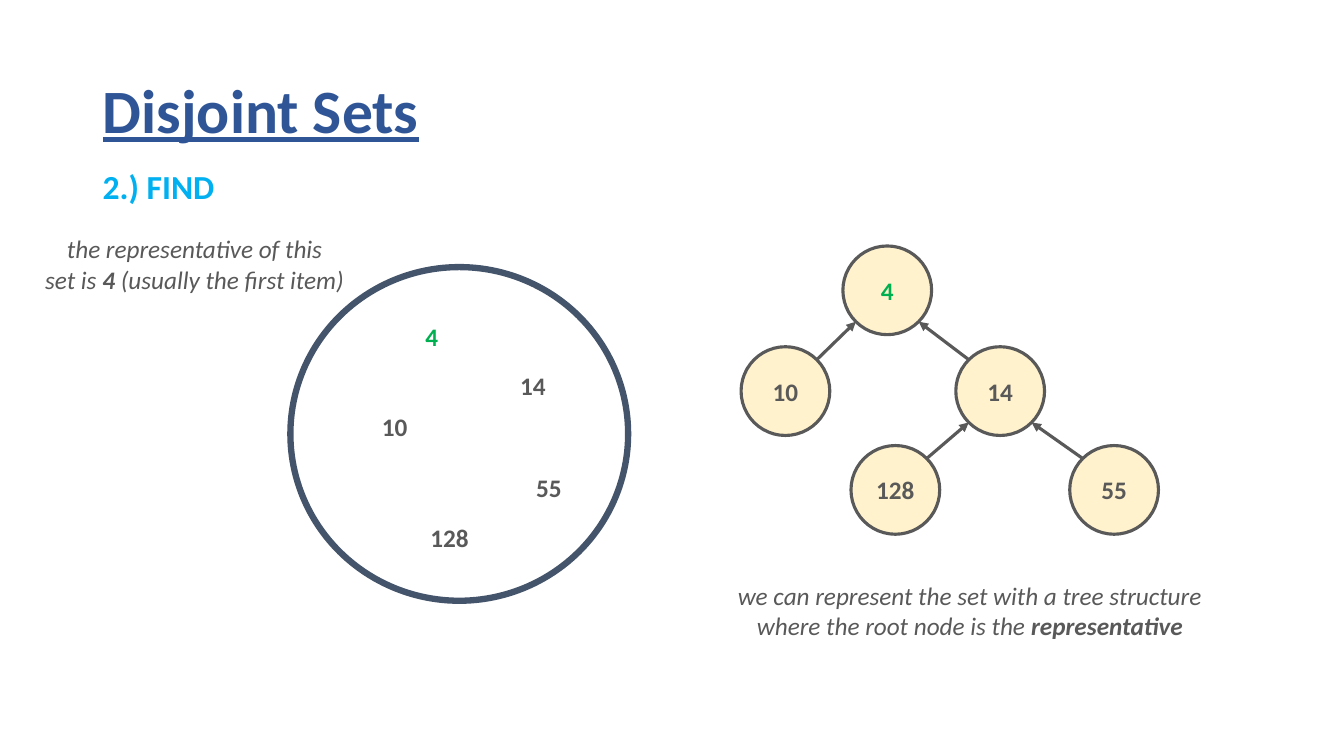
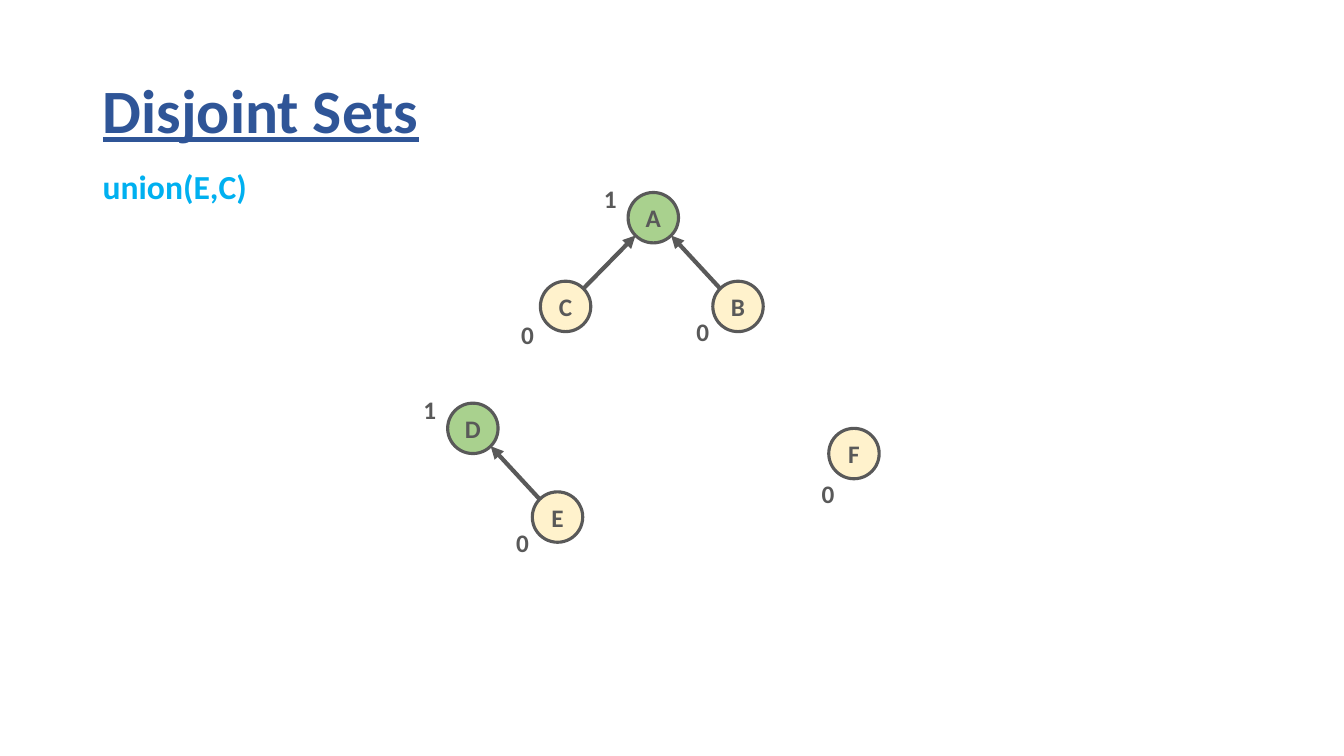
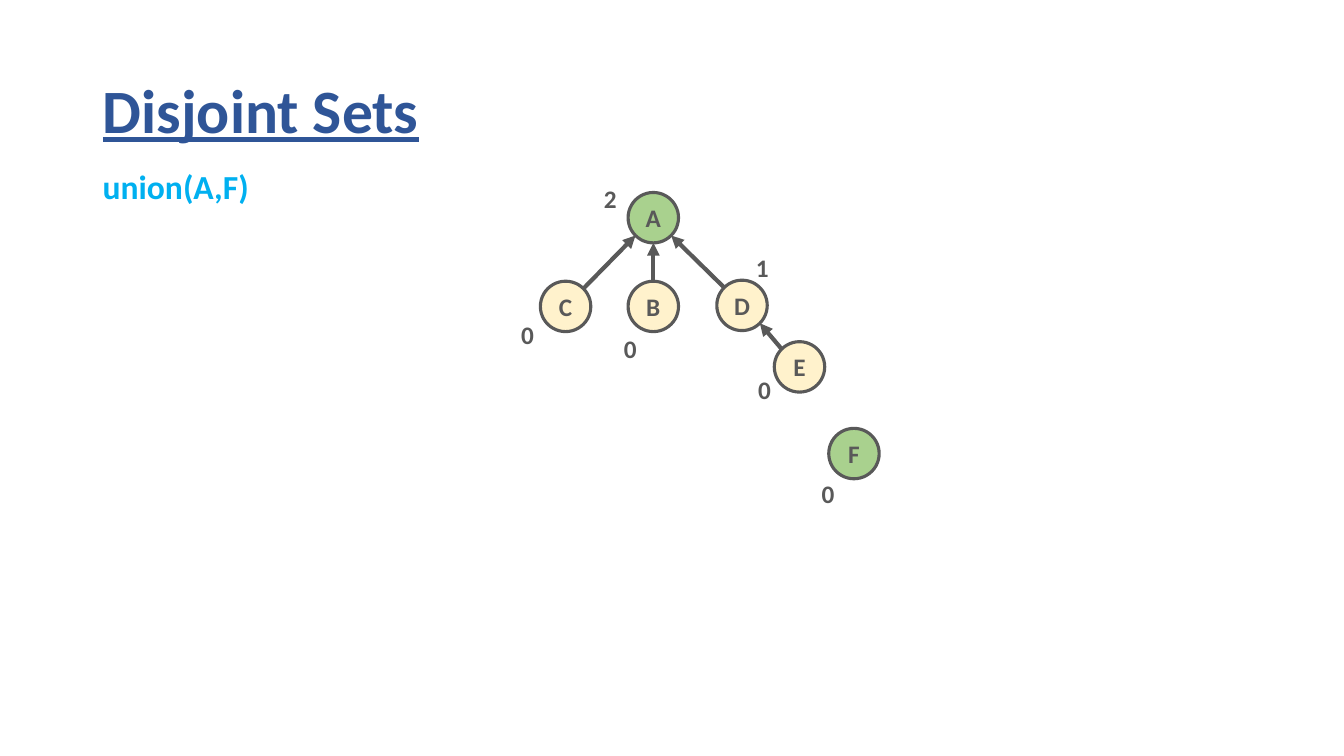
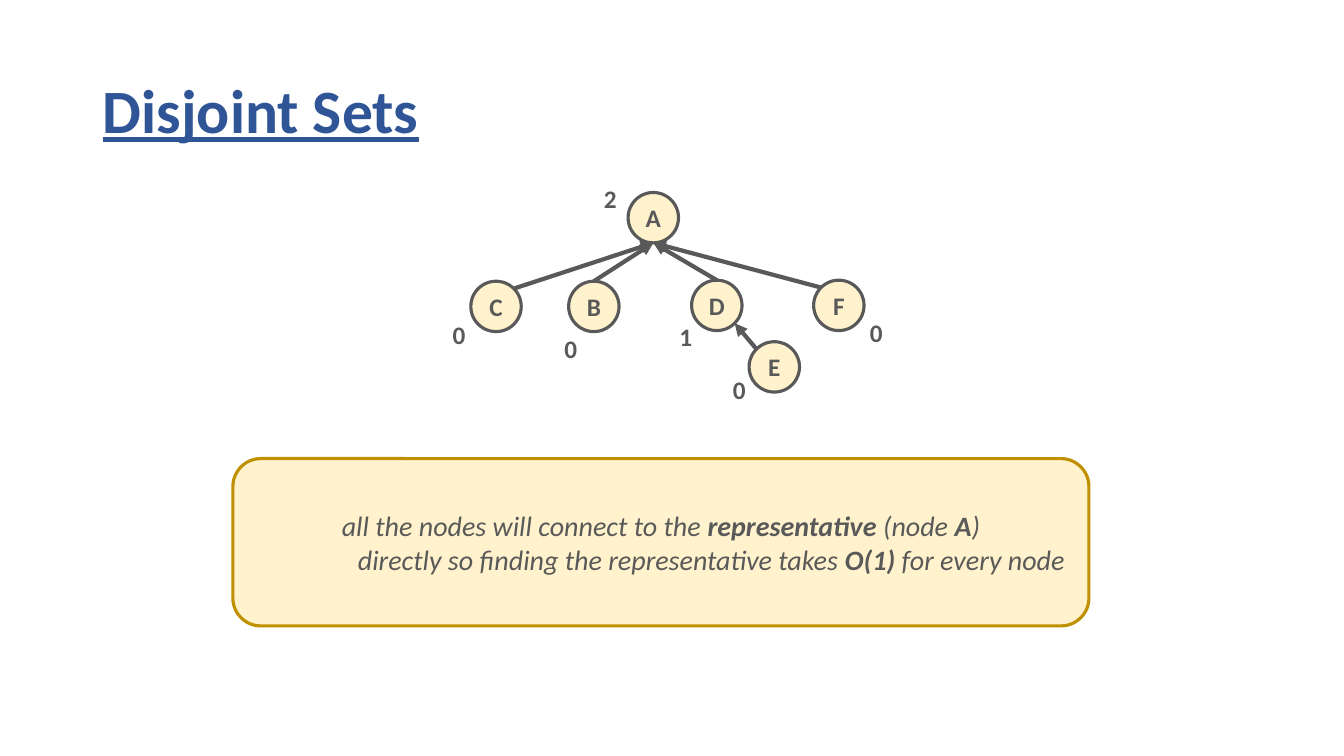
import pptx
import pptx.dml.color
import pptx.enum.shapes
import pptx.enum.text
import pptx.oxml.ns
import pptx.util
from lxml import etree
from pptx.util import Inches

# Shared style
FONT = "Calibri"
BLUE = "2F5597"
SKY = "00B0F0"
GRAY = "595959"
GREEN = "00B050"
SLATE = "44546A"
CREAM = "FFF2CC"
LEAF = "A9D18E"
GOLD = "BF9000"

LEFT = pptx.enum.text.PP_ALIGN.LEFT
CENTER = pptx.enum.text.PP_ALIGN.CENTER
MIDDLE = pptx.enum.text.MSO_ANCHOR.MIDDLE
OVAL = pptx.enum.shapes.MSO_SHAPE.OVAL
ROUNDED = pptx.enum.shapes.MSO_SHAPE.ROUNDED_RECTANGLE

# Points on a circle, as fractions of its bounding box
NEAR, FAR = 0.146, 0.854
TOP, BOTTOM = (0.5, 0), (0.5, 1)
TOP_LEFT, TOP_RIGHT = (NEAR, NEAR), (FAR, NEAR)
BOTTOM_LEFT, BOTTOM_RIGHT = (NEAR, FAR), (FAR, FAR)


def rgb(value):
    return pptx.dml.color.RGBColor.from_string(value)


# Text
def style_paragraph(paragraph, size, color, bold=None, italic=None, align=LEFT):
    paragraph.alignment = align
    font = paragraph.font
    font.name, font.size = FONT, pptx.util.Pt(size)
    font.color.rgb = rgb(color)
    font.bold, font.italic = bold, italic


def write_label(frame, text, size, color, align=LEFT):
    paragraph = frame.paragraphs[0]
    paragraph.text = text
    style_paragraph(paragraph, size, color, bold=True, align=align)


def write_note(frame, lines, size, indents=(0, 0)):
    """Write centred italic lines, each a list of (text, bold) runs."""
    for index, (runs, indent) in enumerate(zip(lines, indents)):
        paragraph = frame.paragraphs[0] if index == 0 else frame.add_paragraph()
        if indent:
            paragraph._p.get_or_add_pPr().set("marL", str(Inches(indent)))
        style_paragraph(paragraph, size, GRAY, italic=True, align=CENTER)
        for text, bold in runs:
            run = paragraph.add_run()
            run.text = text
            run.font.bold = bold


def add_text_frame(slide, left, top, width, height):
    box = slide.shapes.add_textbox(Inches(left), Inches(top), Inches(width), Inches(height))
    frame = box.text_frame
    frame.word_wrap = False
    frame.auto_size = pptx.enum.text.MSO_AUTO_SIZE.SHAPE_TO_FIT_TEXT
    return frame


def add_value(slide, text, left, top, color=GRAY):
    width = 0.21 + 0.13 * len(text)
    write_label(add_text_frame(slide, left, top, width, 0.4), text, 18, color)


def add_subtitle(slide, text, width):
    write_label(add_text_frame(slide, 0.92, 1.6, width, 0.5), text, 24, SKY)


# Shapes and arrows
def add_outlined(slide, kind, left, top, width, height, line, weight, fill=None):
    shape = slide.shapes.add_shape(
        kind, Inches(left), Inches(top), Inches(width), Inches(height))
    shape.shadow.inherit = False
    if fill:
        shape.fill.solid()
        shape.fill.fore_color.rgb = rgb(fill)
    else:
        shape.fill.background()
    shape.line.color.rgb = rgb(line)
    shape.line.width = pptx.util.Pt(weight)
    shape.text_frame.vertical_anchor = MIDDLE
    return shape


def add_node(slide, label, left, top, size, fill, color):
    node = add_outlined(slide, OVAL, left, top, size, size, GRAY, 2.25, fill)
    node.text_frame.word_wrap = False
    write_label(node.text_frame, label, 18, color, CENTER)
    return node


def point_on(node, site):
    return (int(node.left + site[0] * node.width),
            int(node.top + site[1] * node.height))


def add_arrow(slide, child, child_site, parent, parent_site, weight):
    arrow = slide.shapes.add_connector(
        pptx.enum.shapes.MSO_CONNECTOR.STRAIGHT,
        *point_on(child, child_site), *point_on(parent, parent_site))
    arrow.line.color.rgb = rgb(GRAY)
    arrow.line.width = pptx.util.Pt(weight)
    qualified = pptx.oxml.ns.qn
    etree.SubElement(arrow.line._get_or_add_ln(), qualified("a:tailEnd"), type="triangle")
    etree.SubElement(arrow._element.spPr, qualified("a:effectLst"))


def add_tree(slide, nodes, edges, size=0.5, weight=3, fills=None, colors=None):
    """Draw nodes {label: (left, top)} and edges (child, site, parent, site)."""
    fills, colors = fills or {}, colors or {}
    circles = {
        label: add_node(slide, label, left, top, size,
                        fills.get(label, CREAM), colors.get(label, GRAY))
        for label, (left, top) in nodes.items()}
    for child, child_site, parent, parent_site in edges:
        add_arrow(slide, circles[child], child_site, circles[parent], parent_site, weight)


def add_ranks(slide, ranks):
    for rank, left, top in ranks:
        add_value(slide, rank, left, top)


# Slides
def add_titled_slide(presentation):
    slide = presentation.slides.add_slide(presentation.slide_layouts[5])
    title = slide.shapes.title
    title.left, title.top = Inches(0.92), Inches(0.4)
    title.width, title.height = Inches(11.5), Inches(1.45)
    title.text_frame.vertical_anchor = MIDDLE
    write_label(title.text_frame, "Disjoint Sets", 44, BLUE)
    paragraph = title.text_frame.paragraphs[0]
    paragraph.line_spacing = 0.9
    paragraph.font.underline = True
    return slide


def build_find(presentation):
    slide = add_titled_slide(presentation)
    add_subtitle(slide, "2.) FIND", 1.32)

    # The set and its members
    add_outlined(slide, OVAL, 2.88, 2.65, 3.35, 3.31, SLATE, 4.5)
    add_value(slide, "4", 4.12, 3.14, GREEN)
    add_ranks(slide, [("10", 3.69, 4.03), ("14", 5.06, 3.62),
                      ("55", 5.22, 4.64), ("128", 4.17, 5.13)])
    write_note(add_text_frame(slide, 0.32, 2.27, 3.22, 0.71), [
        [("the representative of this", False)],
        [("set is ", False), ("4", True), (" (usually the first item)", False)],
    ], 18)

    # The same set as a tree
    add_tree(
        slide,
        {"4": (8.36, 2.44), "10": (7.35, 3.44), "14": (9.48, 3.44),
         "128": (8.44, 4.42), "55": (10.61, 4.42)},
        [("10", TOP_RIGHT, "4", BOTTOM_LEFT),
         ("14", TOP_LEFT, "4", BOTTOM_RIGHT),
         ("128", TOP_RIGHT, "14", BOTTOM_LEFT),
         ("55", TOP_LEFT, "14", BOTTOM_RIGHT)],
        size=0.88, weight=2.25, colors={"4": GREEN})
    write_note(add_text_frame(slide, 7.19, 5.71, 4.86, 0.71), [
        [("we can represent the set with a tree structure", False)],
        [("where the root node is the ", False), ("representative", True)],
    ], 18)


def build_first_union(presentation):
    slide = add_titled_slide(presentation)
    add_subtitle(slide, "union(E,C)", 1.65)
    add_tree(
        slide,
        {"A": (6.23, 1.91), "C": (5.36, 2.79), "B": (7.07, 2.79),
         "D": (4.44, 4), "E": (5.28, 4.88), "F": (8.22, 4.25)},
        [("C", TOP_RIGHT, "A", BOTTOM_LEFT),
         ("B", TOP_LEFT, "A", BOTTOM_RIGHT),
         ("E", TOP_LEFT, "D", BOTTOM_RIGHT)],
        fills={"A": LEAF, "D": LEAF})
    add_ranks(slide, [("1", 5.89, 1.77), ("0", 5.07, 3.12), ("0", 6.81, 3.09),
                      ("1", 4.1, 3.86), ("0", 5.02, 5.18), ("0", 8.05, 4.7)])


def build_second_union(presentation):
    slide = add_titled_slide(presentation)
    add_subtitle(slide, "union(A,F)", 1.67)
    add_tree(
        slide,
        {"A": (6.23, 1.91), "C": (5.36, 2.79), "B": (6.23, 2.79),
         "D": (7.11, 2.78), "E": (7.68, 3.39), "F": (8.22, 4.25)},
        [("C", TOP_RIGHT, "A", BOTTOM_LEFT),
         ("B", TOP, "A", BOTTOM),
         ("D", TOP_LEFT, "A", BOTTOM_RIGHT),
         ("E", TOP_LEFT, "D", BOTTOM_RIGHT)],
        fills={"A": LEAF, "F": LEAF})
    add_ranks(slide, [("2", 5.89, 1.77), ("0", 5.07, 3.12), ("0", 6.09, 3.26),
                      ("1", 7.4, 2.45), ("0", 7.42, 3.66), ("0", 8.05, 4.7)])


def build_result(presentation):
    slide = add_titled_slide(presentation)
    add_tree(
        slide,
        {"A": (6.23, 1.91), "C": (4.67, 2.79), "B": (5.64, 2.79),
         "D": (6.86, 2.78), "F": (8.07, 2.78), "E": (7.43, 3.39)},
        [("C", TOP_RIGHT, "A", BOTTOM),
         ("B", TOP, "A", BOTTOM),
         ("D", TOP, "A", BOTTOM),
         ("F", TOP_LEFT, "A", BOTTOM),
         ("E", TOP_LEFT, "D", BOTTOM_RIGHT)])
    add_ranks(slide, [("2", 5.89, 1.77), ("0", 4.39, 3.12), ("0", 5.5, 3.26),
                      ("1", 6.64, 3.14), ("0", 8.53, 3.1), ("0", 7.17, 3.66)])

    # Conclusion
    panel = add_outlined(slide, ROUNDED, 2.31, 4.55, 8.49, 1.66, GOLD, 2.25, CREAM)
    write_note(panel.text_frame, [
        [("all the nodes will connect to the ", False), ("representative ", True),
         ("(node ", False), ("A", True), (")", False)],
        [("directly so finding the representative takes ", False),
         ("O(1)", True), (" for every node", False)],
    ], 20, indents=(0, 1))


def main():
    presentation = pptx.Presentation()
    presentation.slide_width = Inches(13.33)
    presentation.slide_height = Inches(7.5)
    build_find(presentation)
    build_first_union(presentation)
    build_second_union(presentation)
    build_result(presentation)
    presentation.save("out.pptx")


if __name__ == "__main__":
    main()
